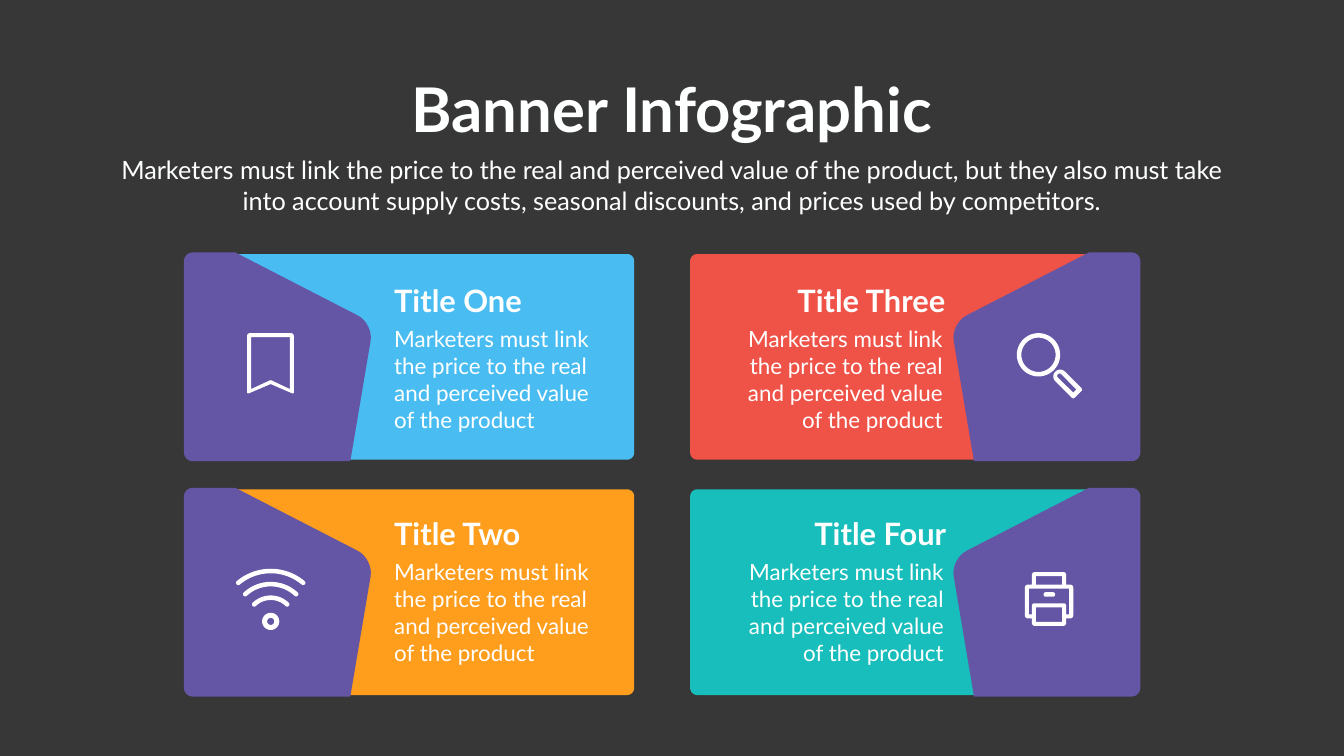
import math
from pptx import Presentation
from pptx import util as u
from pptx.dml.color import RGBColor
from pptx.enum import text

PX = 9144  # EMU per px, 100 px to the inch
FONT = "Lato"
WHITE, PURPLE, DARK = "FFFFFF", "6555A5", "373737"
BODY = "Marketers must link the price to the real and perceived value of the product"
INTRO = ("Marketers must link the price to the real and perceived value of the product, "
         "but they also must take into account supply costs, seasonal discounts, "
         "and prices used by competitors.")


def emu(px):
    return u.Emu(round(px * PX))


def color(hex_string):
    return RGBColor.from_string(hex_string)


# Outlines: lists of (x, y) points
def rounded(corners, steps=8):
    """Polygon whose corners (x, y, cut) are rounded over the length cut."""
    points = []
    for i, (x, y, cut) in enumerate(corners):
        if not cut:
            points.append((x, y))
            continue
        ends = []
        for nx, ny, _ in (corners[i - 1], corners[(i + 1) % len(corners)]):
            share = cut / math.hypot(nx - x, ny - y)
            ends.append((x + (nx - x) * share, y + (ny - y) * share))
        (ax, ay), (bx, by) = ends
        for step in range(steps + 1):
            t = step / steps
            # Cubic curve with both handles 55 % of the way to the corner
            a = (1 - t) ** 3 + 1.35 * t * (1 - t) ** 2
            b = t ** 3 + 1.35 * t ** 2 * (1 - t)
            c = 1 - a - b
            points.append((a * ax + b * bx + c * x, a * ay + b * by + c * y))
    return points


def rectangle(left, top, right, bottom, cut=0):
    return rounded([(left, top, cut), (right, top, cut),
                    (right, bottom, cut), (left, bottom, cut)])


def arc(x, y, radius, start, end, steps=24):
    angles = [math.radians(start + (end - start) * i / steps) for i in range(steps + 1)]
    return [(x + radius * math.cos(a), y + radius * math.sin(a)) for a in angles]


def circle(x, y, radius):
    return arc(x, y, radius, 0, 360, 48)


def arc_band(x, y, radius, spread, half=4.5):
    """Upward arc of constant thickness with round ends."""
    first, last = -90 - spread, -90 + spread
    (ax, ay), = arc(x, y, radius, first, first, 1)[:1]
    (bx, by), = arc(x, y, radius, last, last, 1)[:1]
    return (arc(x, y, radius + half, first, last) + arc(bx, by, half, last, last + 180, 8)
            + arc(x, y, radius - half, last, first)
            + arc(ax, ay, half, first + 180, first + 360, 8))


def add_outline(slide, left, top, fill, *contours):
    """One filled shape; contours after the first are holes."""
    builder = None
    for contour in contours:
        points = [(emu(left + x), emu(top + y)) for x, y in contour]
        if builder is None:
            builder = slide.shapes.build_freeform(*points[0])
        else:
            builder.move_to(*points[0])
        builder.add_line_segments(points[1:], close=True)
    shape = builder.convert_to_shape()
    shape.shadow.inherit = False
    shape.fill.solid()
    shape.fill.fore_color.rgb = color(fill)
    shape.line.fill.background()


def add_text(slide, box, content, size, align, bold=False, wrap=True, fill=WHITE):
    text_box = slide.shapes.add_textbox(*map(emu, box))
    frame = text_box.text_frame
    frame.text = content
    frame.word_wrap = wrap
    frame.auto_size = text.MSO_AUTO_SIZE.SHAPE_TO_FIT_TEXT
    paragraph = frame.paragraphs[0]
    paragraph.alignment = align
    font = paragraph.runs[0].font
    font.name, font.size, font.bold = FONT, u.Pt(size), bold
    font.color.rgb = color(fill)


# Icons, each placed from its left and top
def add_bookmark(slide, left, top):
    add_outline(slide, left, top, WHITE,
                rounded([(0, 0, 6), (93, 0, 6), (93, 121, 4), (47, 101, 0), (0, 121, 4)]),
                rounded([(8, 8, 0), (85, 8, 0), (85, 111, 0), (47, 93, 2), (8, 111, 0)]))


def add_wifi(slide, left, top):
    x, y = 70, 104
    for radius, spread in ((100, 40), (74, 43), (47, 44)):
        add_outline(slide, left, top, WHITE, arc_band(x, y, radius, spread))
    add_outline(slide, left, top, WHITE, circle(x, y, 17), circle(x, y, 7))


def add_magnifier(slide, left, top):
    add_outline(slide, left, top, WHITE,
                rounded([(86, 67, 13), (131, 112, 4), (112, 131, 4), (67, 86, 13)]),
                rounded([(85, 78, 5), (118, 112, 0), (112, 118, 0), (78, 85, 5)]))
    add_outline(slide, left, top, WHITE, circle(43, 43, 43), circle(43, 43, 34))


def add_printer(slide, left, top):
    body = [(14, 0, 6), (82, 0, 6), (82, 25, 0), (96, 25, 6), (96, 92, 6), (82, 92, 0),
            (82, 107, 6), (14, 107, 6), (14, 92, 0), (0, 92, 6), (0, 25, 6), (14, 25, 0)]
    front = [(8, 33, 0), (88, 33, 0), (88, 84, 0), (82, 84, 0), (82, 62, 5),
             (14, 62, 5), (14, 84, 0), (8, 84, 0)]
    add_outline(slide, left, top, WHITE, rounded(body), rounded(front),
                rectangle(22, 8, 74, 25), rectangle(22, 70, 74, 99))
    add_outline(slide, left, top, WHITE, rectangle(37, 40, 60, 49, 4.4))


# Regions
def add_header(slide, left, top, width):
    center = text.PP_ALIGN.CENTER
    title_width = 1078
    add_text(slide, (left + (width - title_width) / 2, top, title_width, 158),
             "Banner Infographic", 88, center, bold=True, wrap=False, fill="FEFFFF")
    add_text(slide, (left, top + 166, width, 131), INTRO, 36, center, fill="FEFFFF")


def add_banner(slide, left, top, width, fill, mirrored):
    """Coloured panel with a purple flap on its outer side."""
    panel = [(101, 3, 0), (width, 3, 14), (width, 411, 14), (327, 411, 0), (372, 142, 33)]
    flap = [(0, 0, 17), (102, 0, 0), (376, 141, 35), (330, 414, 0), (0, 414, 17)]
    for corners, shade in ((panel, fill), (flap, PURPLE)):
        if mirrored:
            corners = [(width - x, y, cut) for x, y, cut in corners]
        add_outline(slide, left, top, shade, rounded(corners))


def add_caption(slide, edge, top, title, title_width, mirrored):
    """Title and body, set from the left edge or, if mirrored, to the right edge."""
    body_width = 453
    align = text.PP_ALIGN.RIGHT if mirrored else text.PP_ALIGN.LEFT
    title_left = edge + 5 - title_width if mirrored else edge
    body_left = edge - body_width if mirrored else edge
    add_text(slide, (title_left, top, title_width, 84), title, 44, align, bold=True)
    add_text(slide, (body_left, top + 87, body_width, 226), BODY, 32, align)


def main():
    presentation = Presentation()
    presentation.slide_width, presentation.slide_height = emu(2666), emu(1500)
    slide = presentation.slides.add_slide(presentation.slide_layouts[6])
    slide.background.fill.solid()
    slide.background.fill.fore_color.rgb = color(DARK)

    add_header(slide, 222, 136, 2221)

    columns, rows, width = (365, 1369), (501, 968), 893
    # column, row, fill, title, title width, text edge, text top, icon, icon left, icon top
    cards = (
        (0, 0, "49BDF2", "Title One", 276, 407, 53, add_bookmark, 125, 160),
        (0, 1, "FF9D1C", "Title Two", 297, 407, 48, add_wifi, 102, 161),
        (1, 0, "EF5247", "Title Three", 318, 511, 53, add_magnifier, 648, 160),
        (1, 1, "18BEBB", "Title Four", 318, 513, 48, add_printer, 664, 167),
    )
    for column, row, fill, title, title_width, edge, text_top, icon, icon_left, icon_top in cards:
        left, top, mirrored = columns[column], rows[row], column == 1
        add_banner(slide, left, top, width, fill, mirrored)
        icon(slide, left + icon_left, top + icon_top)
        add_caption(slide, left + edge, top + text_top, title, title_width, mirrored)

    presentation.save("out.pptx")


if __name__ == "__main__":
    main()
